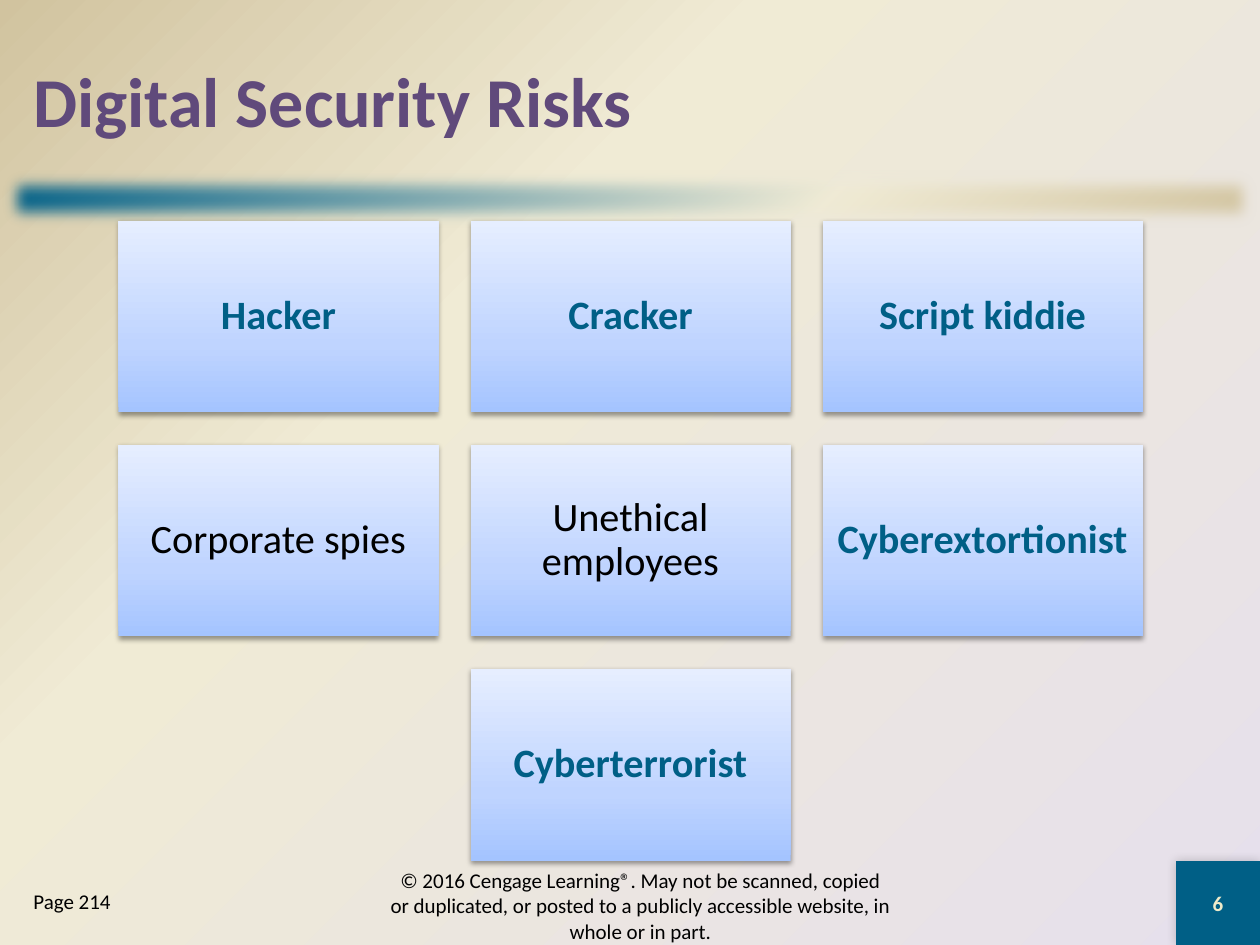
import dataclasses

import lxml.etree
import pptx
import pptx.dml.color
import pptx.enum.shapes
import pptx.enum.text
import pptx.oxml
import pptx.oxml.ns
import pptx.util

ALIGN = pptx.enum.text.PP_ALIGN
ANCHOR = pptx.enum.text.MSO_ANCHOR


@dataclasses.dataclass(frozen=True)
class Theme:
    """Colours, gradients, font and type sizes of the deck."""

    font: str = "Calibri"
    title: str = "604A7B"
    accent: str = "005F86"
    ink: str = "000000"
    number: str = "EEEBCA"
    backdrop: tuple = ((0, "E6E0EC"), (65, "F0EBD5"), (100, "D1C39F"))
    band: tuple = ((0, "005F86"), (65, "F0EBD5"), (100, "D1C39F"))
    tile: tuple = ((0, "A4C4FF"), (35, "BFD4FF"), (100, "E6EEFF"))
    title_size: int = 40
    tile_size: int = 23
    small_size: int = 12


@dataclasses.dataclass(frozen=True)
class Box:
    """A rectangle in inches."""

    left: float
    top: float
    width: float
    height: float

    def cells(self, columns, rows, column, row, across, down):
        """Return the cells of a grid laid over this box."""
        unit_x, unit_y = self.width / columns, self.height / rows
        return Box(self.left + column * unit_x, self.top + row * unit_y,
                   across * unit_x, down * unit_y)

    def lengths(self):
        """Return the four lengths for a new shape."""
        return [pptx.util.Inches(v) for v in (self.left, self.top, self.width, self.height)]


THEME = Theme()
SLIDE = Box(0, 0, 10, 7.5)
RISKS = (
    (("Hacker", True), ("Cracker", True), ("Script kiddie", True)),
    (("Corporate spies", False), ("Unethical employees", False), ("Cyberextortionist", True)),
    (("Cyberterrorist", True),),
)


def set_gradient(fill, owner, stops, direction):
    """Give a fill its colour stops and a direction element."""
    fill.gradient()
    old = owner.find(".//" + pptx.oxml.ns.qn("a:gradFill"))
    marks = "".join(f'<a:gs pos="{place * 1000}"><a:srgbClr val="{color}"/></a:gs>'
                    for place, color in stops)
    new = pptx.oxml.parse_xml(
        f'<a:gradFill {pptx.oxml.ns.nsdecls("a")} rotWithShape="1">'
        f"<a:gsLst>{marks}</a:gsLst>{direction}</a:gradFill>")
    old.getparent().replace(old, new)


def linear(angle):
    """Return a linear gradient direction."""
    return f'<a:lin ang="{angle * 60000}" scaled="0"/>'


def add_effect(shape, name, color=None, alpha=0, **lengths):
    """Add one effect to a shape."""
    effects = shape._element.spPr.find(pptx.oxml.ns.qn("a:effectLst"))
    effect = lxml.etree.SubElement(effects, pptx.oxml.ns.qn("a:" + name))
    for key, value in lengths.items():
        effect.set(key, str(int(value)))
    if color:
        tint = lxml.etree.SubElement(effect, pptx.oxml.ns.qn("a:srgbClr"), val=color)
        lxml.etree.SubElement(tint, pptx.oxml.ns.qn("a:alpha"), val=str(alpha * 1000))


def add_panel(page, box):
    """Add a plain rectangle without outline or shadow."""
    panel = page.shapes.add_shape(pptx.enum.shapes.MSO_SHAPE.RECTANGLE, *box.lengths())
    panel.shadow.inherit = False
    panel.line.fill.background()
    return panel


def write(shape, text, size, color, bold=False, align=ALIGN.LEFT, anchor=ANCHOR.MIDDLE):
    """Write one paragraph into a shape."""
    frame = shape.text_frame
    frame.word_wrap = True
    frame.vertical_anchor = anchor
    para = frame.paragraphs[0]
    para.alignment = align
    span = para.add_run()
    span.text = text
    span.font.name = THEME.font
    span.font.size = pptx.util.Pt(size)
    span.font.bold = bold
    span.font.color.rgb = pptx.dml.color.RGBColor.from_string(color)
    return para


def add_backdrop(page):
    """Paint the page background."""
    focus = ('<a:path path="circle"><a:fillToRect l="100000" t="100000"/></a:path>'
             '<a:tileRect r="-100000" b="-100000"/>')
    set_gradient(page.background.fill, page._element, THEME.backdrop, focus)


def add_header(page, box):
    """Place the title and the soft band below it."""
    band = add_panel(page, box.cells(1, 11, 0, 8, 1, 3))
    set_gradient(band.fill, band._element, THEME.band, linear(45))
    add_effect(band, "softEdge", rad=pptx.util.Pt(9))
    title = page.shapes.add_textbox(*box.cells(60, 11, 1, 1, 58, 7.5).lengths())
    write(title, "Digital Security Risks", THEME.title_size, THEME.title, True)


def add_tile(page, box, text, key_term):
    """Place one risk tile."""
    tile = add_panel(page, box)
    set_gradient(tile.fill, tile._element, THEME.tile, linear(270))
    add_effect(tile, "outerShdw", "000000", 38, blurRad=pptx.util.Pt(3.1),
               dist=pptx.util.Pt(1.6), dir=90 * 60000)
    frame = tile.text_frame
    frame.margin_left = frame.margin_right = pptx.util.Inches(0.1)
    frame.margin_top = frame.margin_bottom = pptx.util.Inches(0.1)
    para = write(tile, text, THEME.tile_size, THEME.accent if key_term else THEME.ink,
                 key_term, ALIGN.CENTER)
    para.line_spacing = 0.9


def add_risks(page, box):
    """Place the tiles in centred rows, ten columns by six rows each with gaps of one."""
    for row, risks in enumerate(RISKS):
        start = (32 - (11 * len(risks) - 1)) / 2
        for column, (text, key_term) in enumerate(risks):
            cell = box.cells(32, 20, start + 11 * column, 7 * row, 10, 6)
            add_tile(page, cell, text, key_term)


def add_footer(page, box):
    """Place the page reference, copyright line and slide number."""
    corner = add_panel(page, box.cells(15, 1, 14, 0, 1, 1))
    corner.fill.solid()
    corner.fill.fore_color.rgb = pptx.dml.color.RGBColor.from_string(THEME.accent)
    add_effect(corner, "outerShdw", "000000", 20, blurRad=pptx.util.Pt(6),
               dist=0, dir=225 * 60000)
    write(corner, "6", THEME.small_size, THEME.number, True, ALIGN.CENTER)
    notice = page.shapes.add_textbox(*box.cells(60, 8, 18, 1, 25, 6.5).lengths())
    write(notice, "© 2016 Cengage Learning®. May not be scanned, copied or duplicated, "
          "or posted to a publicly accessible website, in whole or in part.",
          THEME.small_size, THEME.ink, align=ALIGN.CENTER)
    reference = page.shapes.add_textbox(*box.cells(60, 4, 1, 1, 11, 3).lengths())
    write(reference, "Page 214", THEME.small_size, THEME.ink, anchor=ANCHOR.TOP)


def main():
    """Build the deck."""
    deck = pptx.Presentation()
    deck.slide_width = pptx.util.Inches(SLIDE.width)
    deck.slide_height = pptx.util.Inches(SLIDE.height)
    page = deck.slides.add_slide(deck.slide_layouts[6])
    add_backdrop(page)
    add_header(page, SLIDE.cells(1, 45, 0, 0, 1, 11))
    add_risks(page, Box(0.94, 1.75, 8.13, 5.08))
    add_footer(page, SLIDE.cells(1, 45, 0, 41, 1, 4))
    deck.save("out.pptx")


if __name__ == "__main__":
    main()
